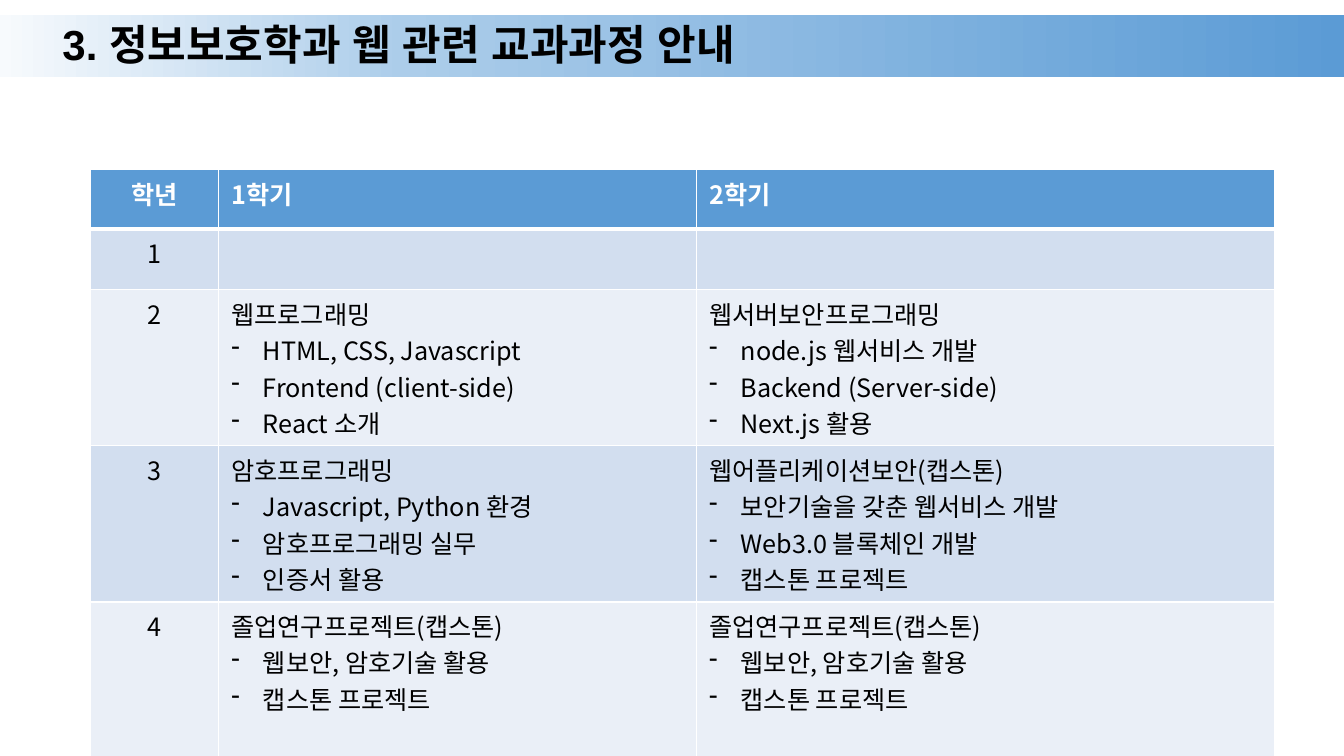
from copy import deepcopy
from dataclasses import dataclass

from lxml import etree
from pptx import Presentation
from pptx.dml.color import RGBColor
from pptx.enum.shapes import MSO_SHAPE
from pptx.enum.text import MSO_ANCHOR, MSO_AUTO_SIZE, PP_ALIGN
from pptx.oxml.ns import qn
from pptx.util import Pt

RECTANGLE = MSO_SHAPE.RECTANGLE
MIDDLE = MSO_ANCHOR.MIDDLE
NO_AUTOFIT = MSO_AUTO_SIZE.NONE
LEFT, CENTER = PP_ALIGN.LEFT, PP_ALIGN.CENTER


@dataclass(frozen=True)
class Theme:
    title_font: str = "Arial"
    body_font: str = "Noto Sans CJK KR"
    title_size: int = 30
    body_size: int = 18
    black: str = "000000"
    white: str = "FFFFFF"
    header: str = "5B9BD5"
    stripes: tuple[str, str] = ("D2DEEF", "EAEFF7")
    band: tuple[tuple[float, str], ...] = ((0, "F7FAFD"), (0.3, "ACCDEA"), (1, "5B9BD5"))


@dataclass(frozen=True)
class Course:
    name: str = ""
    topics: tuple[str, ...] = ()


@dataclass(frozen=True)
class Year:
    label: str
    first: Course
    second: Course
    height: float


THEME = Theme()
TITLE = "3. 정보보호학과 웹 관련 교과과정 안내"
CAPSTONE = Course("졸업연구프로젝트(캡스톤)", ("웹보안, 암호기술 활용", "캡스톤 프로젝트"))
YEARS = (
    Year("학년", Course("1학기"), Course("2학기"), 42.5),
    Year("1", Course(), Course(), 43.2),
    Year(
        "2",
        Course("웹프로그래밍", ("HTML, CSS, Javascript", "Frontend (client-side)", "React 소개")),
        Course("웹서버보안프로그래밍", ("node.js 웹서비스 개발", "Backend (Server-side)", "Next.js 활용")),
        111.5,
    ),
    Year(
        "3",
        Course("암호프로그래밍", ("Javascript, Python 환경", "암호프로그래밍 실무", "인증서 활용")),
        Course(
            "웹어플리케이션보안(캡스톤)",
            ("보안기술을 갖춘 웹서비스 개발", "Web3.0 블록체인 개발", "캡스톤 프로젝트"),
        ),
        111.5,
    ),
    Year("4", CAPSTONE, CAPSTONE, 111.5),
)
COLUMN_WIDTHS = (91.8, 341.3, 413.3)


def style_font(paragraph, name: str, size: float, color: str, bold: bool) -> None:
    """Format a whole paragraph for Latin and Korean text."""
    font = paragraph.font
    font.name, font.size, font.bold = name, Pt(size), bold
    font.color.rgb = RGBColor.from_string(color)
    latin = font._element.find(qn("a:latin"))
    east_asian = etree.Element(qn("a:ea"), typeface=name)
    latin.addnext(east_asian)


def add_dash(paragraph) -> None:
    """Give a paragraph a hanging dash bullet."""
    properties = paragraph._p.get_or_add_pPr()
    properties.set("marL", str(Pt(22.5)))
    properties.set("indent", str(-Pt(22.5)))
    etree.SubElement(properties, qn("a:buChar"), char="-")


def add_borders(cell, color: str, bottom_width: float) -> None:
    """Draw the four cell borders."""
    properties = cell._tc.get_or_add_tcPr()
    for side, width in (("L", 1), ("R", 1), ("T", 1), ("B", bottom_width)):
        line = etree.SubElement(properties, qn(f"a:ln{side}"), w=str(Pt(width)))
        fill = etree.SubElement(line, qn("a:solidFill"))
        etree.SubElement(fill, qn("a:srgbClr"), val=color)


def fill_cell(cell, course: Course, row: int, alignment) -> None:
    """Write and format one table cell."""
    is_header = row == 0
    add_borders(cell, THEME.white, 3 if is_header else 1)
    cell.fill.solid()
    color = THEME.header if is_header else THEME.stripes[(row - 1) % 2]
    cell.fill.fore_color.rgb = RGBColor.from_string(color)
    cell.margin_left = cell.margin_right = Pt(9.2)
    cell.margin_top = cell.margin_bottom = Pt(3.6)
    cell.text = "\n".join((course.name, *course.topics))
    for index, paragraph in enumerate(cell.text_frame.paragraphs):
        paragraph.alignment = alignment
        if index:
            add_dash(paragraph)
        text_color = THEME.white if is_header else THEME.black
        style_font(paragraph, THEME.body_font, THEME.body_size, text_color, is_header)


def add_title(slide, width: int) -> None:
    """Set the title over its gradient band."""
    title = slide.shapes.title
    band = slide.shapes.add_shape(RECTANGLE, 0, Pt(10.8), width, Pt(44))
    band.shadow.inherit = False
    band.line.fill.background()
    band.fill.gradient()
    band.fill.gradient_angle = 0
    stop_list = band._element.spPr.find(".//" + qn("a:gsLst"))
    stop_list.append(deepcopy(stop_list[0]))
    for stop, (position, color) in zip(band.fill.gradient_stops, THEME.band):
        stop.position = position
        stop.color.rgb = RGBColor.from_string(color)
    title._element.addprevious(band._element)

    title.left, title.top, title.width, title.height = Pt(37.4), Pt(10.8), Pt(715.7), Pt(45.4)
    frame = title.text_frame
    frame.text = TITLE
    frame.auto_size = NO_AUTOFIT
    frame.vertical_anchor = MIDDLE
    paragraph = frame.paragraphs[0]
    paragraph.alignment = LEFT
    paragraph.line_spacing = 0.9
    style_font(paragraph, THEME.title_font, THEME.title_size, THEME.black, True)


def add_curriculum(slide) -> None:
    """Add the table of courses by year and semester."""
    height = sum(year.height for year in YEARS)
    table = slide.shapes.add_table(
        len(YEARS), len(COLUMN_WIDTHS), Pt(64.3), Pt(121.3), Pt(sum(COLUMN_WIDTHS)), Pt(height)
    ).table
    for column, width in zip(table.columns, COLUMN_WIDTHS):
        column.width = Pt(width)
    for row, year in enumerate(YEARS):
        table.rows[row].height = Pt(year.height)
        for column, course in enumerate((Course(year.label), year.first, year.second)):
            fill_cell(table.cell(row, column), course, row, LEFT if column else CENTER)


def main() -> None:
    """Build and save the slide."""
    presentation = Presentation()
    presentation.slide_width, presentation.slide_height = Pt(960), Pt(540)
    slide = presentation.slides.add_slide(presentation.slide_layouts[5])
    add_title(slide, presentation.slide_width)
    add_curriculum(slide)
    presentation.save("out.pptx")


if __name__ == "__main__":
    main()
